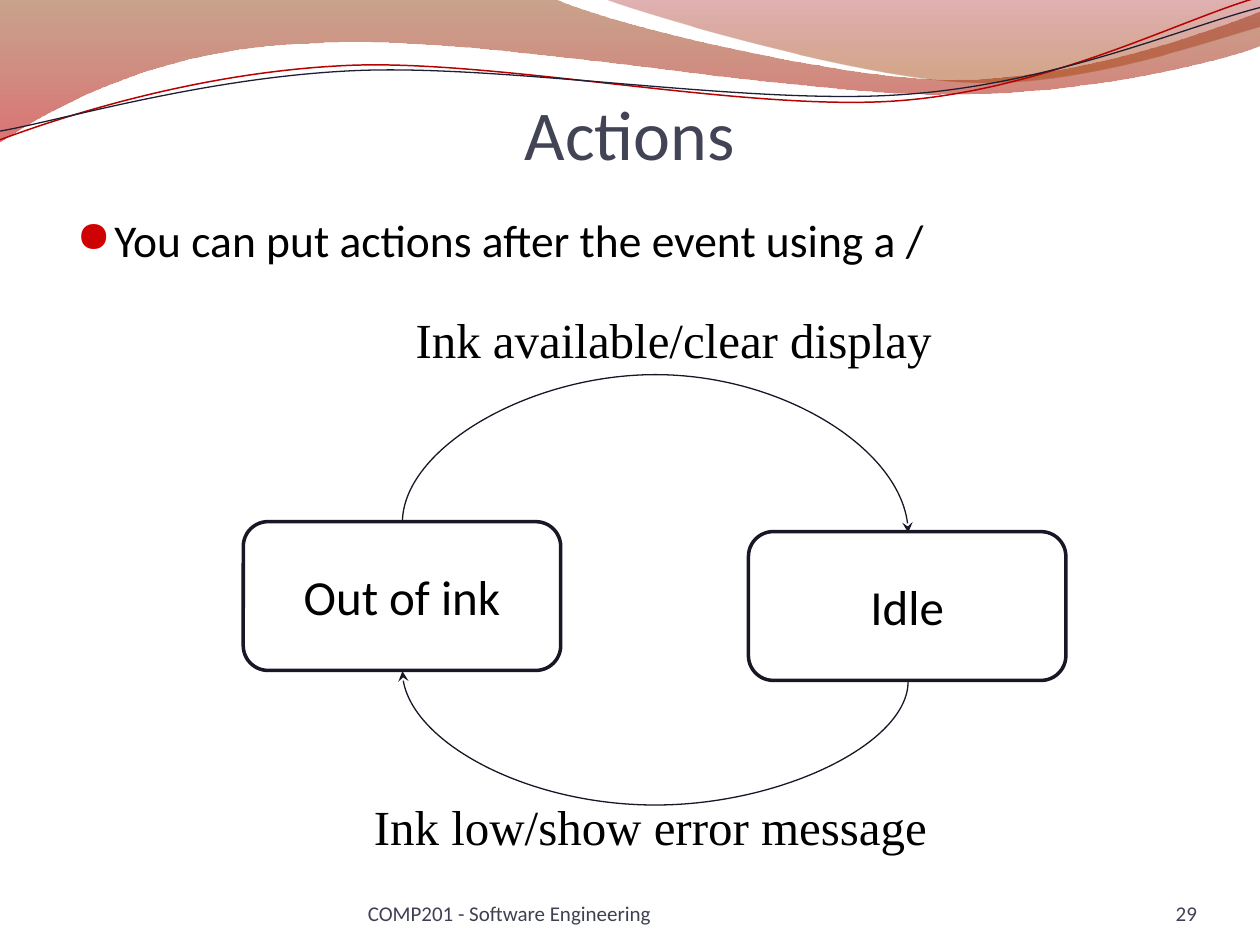
from lxml import etree
from pptx import Presentation
from pptx.dml.color import RGBColor
from pptx.enum.shapes import MSO_CONNECTOR, MSO_SHAPE
from pptx.enum.text import MSO_ANCHOR, MSO_AUTO_SIZE, PP_ALIGN
from pptx.oxml.ns import qn
from pptx.util import Pt

CURVE = MSO_CONNECTOR.CURVE
ROUNDED = MSO_SHAPE.ROUNDED_RECTANGLE
TOP, MIDDLE, BOTTOM = MSO_ANCHOR.TOP, MSO_ANCHOR.MIDDLE, MSO_ANCHOR.BOTTOM
LEFT, CENTER, RIGHT = PP_ALIGN.LEFT, PP_ALIGN.CENTER, PP_ALIGN.RIGHT
FIT_TEXT = MSO_AUTO_SIZE.SHAPE_TO_FIT_TEXT

BLACK = RGBColor(0x00, 0x00, 0x00)
WHITE = RGBColor(0xFF, 0xFF, 0xFF)
INK = RGBColor(0x17, 0x17, 0x26)
NAVY = RGBColor(0x1F, 0x1F, 0x33)
SLATE = RGBColor(0x42, 0x44, 0x56)
FOOTER_GRAY = RGBColor(0x3F, 0x41, 0x52)
RED = RGBColor(0xB6, 0x02, 0x02)
BROWN = RGBColor(0x88, 0x34, 0x00)
CRIMSON = RGBColor(0xBD, 0x00, 0x00)
MAROON = RGBColor(0x9A, 0x00, 0x00)
RUST = RGBColor(0xA2, 0x3E, 0x00)
BULLET_RED = "CE0202"

prs = Presentation()
prs.slide_width, prs.slide_height = Pt(720), Pt(540)
slide = prs.slides.add_slide(prs.slide_layouts[6])
shapes = slide.shapes


def add_wave(start, segments, closed):
    """Two numbers make a straight segment, six make a cubic curve."""
    numbers = [Pt(n) for segment in segments for n in segment]
    builder = shapes.build_freeform(Pt(start[0]), Pt(start[1]))
    builder.add_line_segments(list(zip(numbers[::2], numbers[1::2])), close=closed)
    wave = builder.convert_to_shape()
    wave.shadow.inherit = False
    steps = iter(list(wave.element.iter(qn("a:lnTo"))))
    for segment in segments:
        step = next(steps)
        if len(segment) == 6:
            step.tag = qn("a:cubicBezTo")
            for _ in range(2):
                control = next(steps)
                step.append(control[0])
                control.getparent().remove(control)
    return wave


def write(shape, text, size, color, font="Calibri", align=LEFT, anchor=TOP):
    frame = shape.text_frame
    frame.word_wrap = True
    frame.vertical_anchor = anchor
    paragraph = frame.paragraphs[0]
    paragraph.alignment = align
    run = paragraph.add_run()
    run.text = text
    run.font.name, run.font.size = font, Pt(size)
    run.font.color.rgb = color
    return frame


bands = [
    ((0, 0),
     [(316.8, -0.7), (342.7, 12.2, 478.1, 45.4, 545.8, 45.4),
      (614.2, 45.4, 689.8, 18.7, 720, 6.5), (720.7, 25.9),
      (707.8, 31.7, 626.4, 54.7, 537.1, 54), (447.8, 54, 275, 20.2, 185, 24.5),
      (92.9, 25.9, 33.1, 59.8, -0.7, 81.4)],
     [(0, BROWN, 45), (1, CRIMSON, 55)]),
    ((344.9, -0.7),
     [(366.5, 7.9, 491, 44.6, 553.7, 46.8), (616.3, 49.7, 691.9, 23, 720, 15.1),
      (720, 0)],
     [(0, MAROON, 30), (0.8, RUST, 45)]),
]
for start, segments, stops in bands:
    band = add_wave(start, segments, True)
    band.line.fill.background()
    band.fill.gradient()
    band.fill.gradient_angle = 270
    for stop, (position, color, opacity) in zip(band.fill.gradient_stops, stops):
        stop.position = position
        stop.color.rgb = color
    for rgb, (_, _, opacity) in zip(band.element.spPr.iter(qn("a:srgbClr")), stops):
        etree.SubElement(rgb, qn("a:alpha"), val=str(opacity * 1000))

strands = [
    ((0, 79.9),
     [(34.6, 67, 113.8, 41, 199.4, 37.4), (284.4, 33.8, 427, 64.1, 513.4, 57.6),
      (599.8, 51.1, 675.4, 10.8, 718.6, -1.4)], RED, 0.85),
    ((0, 74.9),
     [(33.8, 69.1, 118.1, 43.9, 203.8, 40.3), (290.2, 36.7, 429.8, 60.5, 516.2, 54),
      (601.9, 48.2, 677.5, 15.1, 720, 4.3)], NAVY, 0.75),
]
for start, segments, color, width in strands:
    strand = add_wave(start, segments, False)
    strand.fill.background()
    strand.line.color.rgb = color
    strand.line.width = Pt(width)

title = shapes.add_textbox(Pt(36), Pt(37.4), Pt(648), Pt(62.6))
title_frame = write(title, "Actions", 40, SLATE, align=CENTER, anchor=BOTTOM)
title_frame.margin_left = title_frame.margin_right = title_frame.margin_bottom = 0

body = shapes.add_textbox(Pt(36.7), Pt(117.4), Pt(648), Pt(345.6))
body_frame = write(body, "You can put actions after the event using a /", 26, BLACK)
bullet = body_frame.paragraphs[0]._p.get_or_add_pPr()
bullet.set("marL", str(Pt(21.6)))
bullet.set("indent", str(-Pt(21.6)))
bullet_color = etree.SubElement(bullet, qn("a:buClr"))
etree.SubElement(bullet_color, qn("a:srgbClr"), val=BULLET_RED)
etree.SubElement(bullet, qn("a:buSzPct"), val="95000")
etree.SubElement(bullet, qn("a:buChar"), char="●")

for text, left, width, align in [
    ("COMP201 - Software Engineering", 210.2, 264.2, LEFT),
    ("29", 624.2, 59.8, RIGHT),
]:
    footer = shapes.add_textbox(Pt(left), Pt(500.4), Pt(width), Pt(28.8))
    frame = write(footer, text, 12, FOOTER_GRAY, align=align, anchor=BOTTOM)
    frame.margin_left = frame.margin_right = frame.margin_top = frame.margin_bottom = 0

states = []
for text, left, top in [("Out of ink", 139, 298.1), ("Idle", 427.7, 303.8)]:
    state = shapes.add_shape(ROUNDED, Pt(left), Pt(top), Pt(181.4), Pt(85))
    state.shadow.inherit = False
    state.fill.solid()
    state.fill.fore_color.rgb = WHITE
    state.line.color.rgb = INK
    state.line.width = Pt(2)
    write(state, text, 28, BLACK, align=CENTER, anchor=MIDDLE)
    states.append(state)
out_of_ink, idle = states

transitions = [
    ("Ink available/clear display", 230.4, 173.5, 312.5, 0, 157, -1455000, "a:tailEnd"),
    ("Ink low/show error message", 206.6, 451.4, 334.1, 2, 241.9, 1316900, "a:headEnd"),
]
for text, left, top, width, site, arc_top, bend, arrow_end in transitions:
    arc = shapes.add_connector(CURVE, 0, 0, 0, 0)
    arc.begin_connect(out_of_ink, site)
    arc.end_connect(idle, site)
    arc.left, arc.top, arc.width, arc.height = Pt(371.5), Pt(arc_top), Pt(5.8), Pt(289)
    arc.line.color.rgb = INK
    arc.line.width = Pt(0.75)
    properties = arc.element.spPr
    transform = properties.find(qn("a:xfrm"))
    transform.attrib.pop("flipV", None)
    transform.set("rot", "16200000")
    transform.set("flipH", "1")
    guides = properties.find(qn("a:prstGeom")).find(qn("a:avLst"))
    etree.SubElement(guides, qn("a:gd"), name="adj1", fmla=f"val {bend}")
    etree.SubElement(properties.find(qn("a:ln")), qn(arrow_end), type="stealth")
    etree.SubElement(properties, qn("a:effectLst"))

    label = shapes.add_textbox(Pt(left), Pt(top), Pt(width), Pt(41))
    label_frame = write(label, text, 28, BLACK, font="Times New Roman")
    label_frame.word_wrap = False
    label_frame.auto_size = FIT_TEXT

prs.save("out.pptx")
